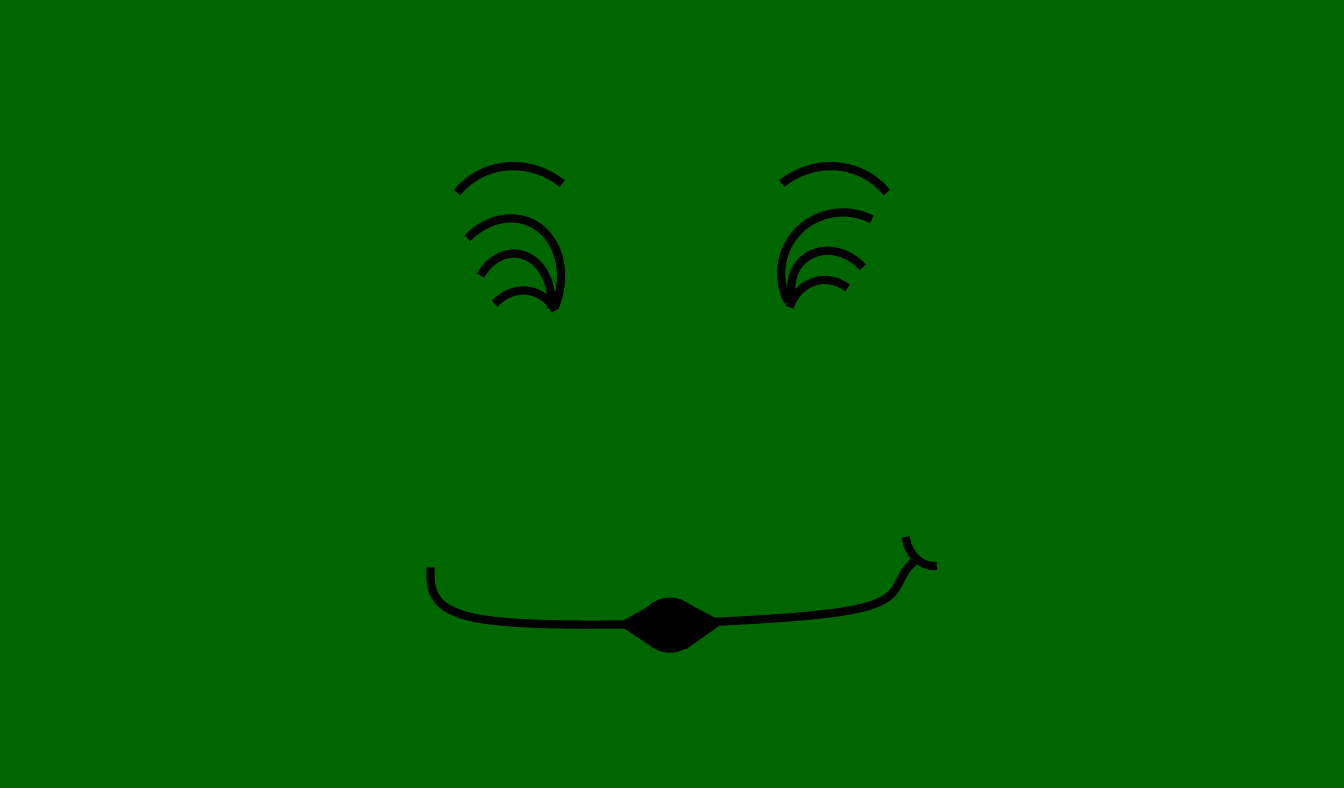
from dataclasses import dataclass

from lxml.etree import _Element
from pptx import Presentation
from pptx.dml.color import RGBColor
from pptx.enum.shapes import MSO_SHAPE
from pptx.shapes.autoshape import Shape
from pptx.util import Inches, Pt

COLORS = {"background": "006600", "ink": "000000"}
STROKE = Pt(4.5)
SLIDE_W, SLIDE_H = 10.24, 6
CURVE_STEPS = 24


@dataclass
class Figure:
    left: float
    top: float
    width: float
    height: float
    rotation: float = 0
    adjustments: tuple[float, ...] = ()
    flip: bool = False


LASH_START = 130.34
SHORT_LASH = (LASH_START, 186.47)
LONG_LASH = (LASH_START, 0)

LASHES = [
    Figure(6.05, 1.89, 0.6, 0.69, 318.3, LONG_LASH),
    Figure(6, 2.13, 0.6, 0.69, 348.4, SHORT_LASH),
    Figure(5.96, 1.61, 0.94, 0.96, 296.8, LONG_LASH),
    Figure(3.6, 1.93, 0.6, 0.78, 5.7, LONG_LASH),
    Figure(3.67, 2.21, 0.6, 0.69, 13.1, SHORT_LASH),
    Figure(3.4, 1.65, 0.86, 1.05, 23, (126.23, 0)),
]

BROW = Figure(3.38, 1.25, 1.11, 1.16, 308.9)
BROWS = [
    BROW,
    Figure(SLIDE_W - BROW.left - BROW.width, BROW.top, BROW.width, BROW.height,
           360 - BROW.rotation, flip=True),
]

DIMPLE = Figure(6.9, 3.82, 0.42, 0.49, 173.7)
LIPS = Figure(4.88, 4.55, 0.45, 0.42)
RIGHT_LIP_TIP = Figure(5.19, 4.62, 0.36, 0.29, 90, (0.57,), flip=True)
LEFT_LIP_TIP = Figure(4.67, 4.62, 0.36, 0.29, 270, (0.54,))

SMILE_START = (3.28, 4.32)
SMILE_CURVES = [
    ((3.28, 4.5), (3.27, 4.68), (3.79, 4.73)),
    ((4.31, 4.79), (5.87, 4.74), (6.4, 4.66)),
    ((6.94, 4.58), (6.77, 4.44), (6.98, 4.26)),
]


def style_stroke(shape: Shape) -> None:
    shape.shadow.inherit = False
    shape.fill.background()
    shape.line.color.rgb = RGBColor.from_string(COLORS["ink"])
    shape.line.width = STROKE


def add_figure(shapes, kind: MSO_SHAPE, fig: Figure) -> Shape:
    box = (fig.left, fig.top, fig.width, fig.height)
    shape = shapes.add_shape(kind, *map(Inches, box))
    shape.rotation = fig.rotation
    for i, value in enumerate(fig.adjustments):
        shape.adjustments[i] = value
    if fig.flip:
        xfrm: _Element = shape._element.spPr.xfrm
        xfrm.set("flipH", "1")
    return shape


def add_arc(shapes, fig: Figure) -> None:
    style_stroke(add_figure(shapes, MSO_SHAPE.ARC, fig))


def add_solid(shapes, kind: MSO_SHAPE, fig: Figure) -> None:
    shape = add_figure(shapes, kind, fig)
    shape.shadow.inherit = False
    shape.fill.solid()
    shape.fill.fore_color.rgb = RGBColor.from_string(COLORS["ink"])
    shape.line.fill.background()


def bezier(t: float, a: float, b: float, c: float, d: float) -> float:
    u = 1 - t
    return u**3 * a + 3 * u**2 * t * b + 3 * u * t**2 * c + t**3 * d


def add_smile(shapes) -> None:
    points, start = [], SMILE_START
    for curve in SMILE_CURVES:
        xs, ys = zip(start, *curve)
        for i in range(1, CURVE_STEPS + 1):
            t = i / CURVE_STEPS
            points.append((Inches(bezier(t, *xs)), Inches(bezier(t, *ys))))
        start = curve[-1]
    builder = shapes.build_freeform(*map(Inches, SMILE_START))
    builder.add_line_segments(points, close=False)
    style_stroke(builder.convert_to_shape())


def main() -> None:
    prs = Presentation()
    prs.slide_width, prs.slide_height = Inches(SLIDE_W), Inches(SLIDE_H)
    s = prs.slides.add_slide(prs.slide_layouts[6])
    s.background.fill.solid()
    s.background.fill.fore_color.rgb = RGBColor.from_string(COLORS["background"])

    mouth = s.shapes.add_group_shape().shapes
    add_smile(mouth)
    add_arc(mouth, DIMPLE)
    add_solid(s.shapes, MSO_SHAPE.OVAL, LIPS)
    for tip in (RIGHT_LIP_TIP, LEFT_LIP_TIP):
        add_solid(s.shapes, MSO_SHAPE.ISOSCELES_TRIANGLE, tip)

    for arcs in (LASHES, BROWS):
        group = s.shapes.add_group_shape().shapes
        for arc in arcs:
            add_arc(group, arc)

    prs.save("out.pptx")


if __name__ == "__main__":
    main()
